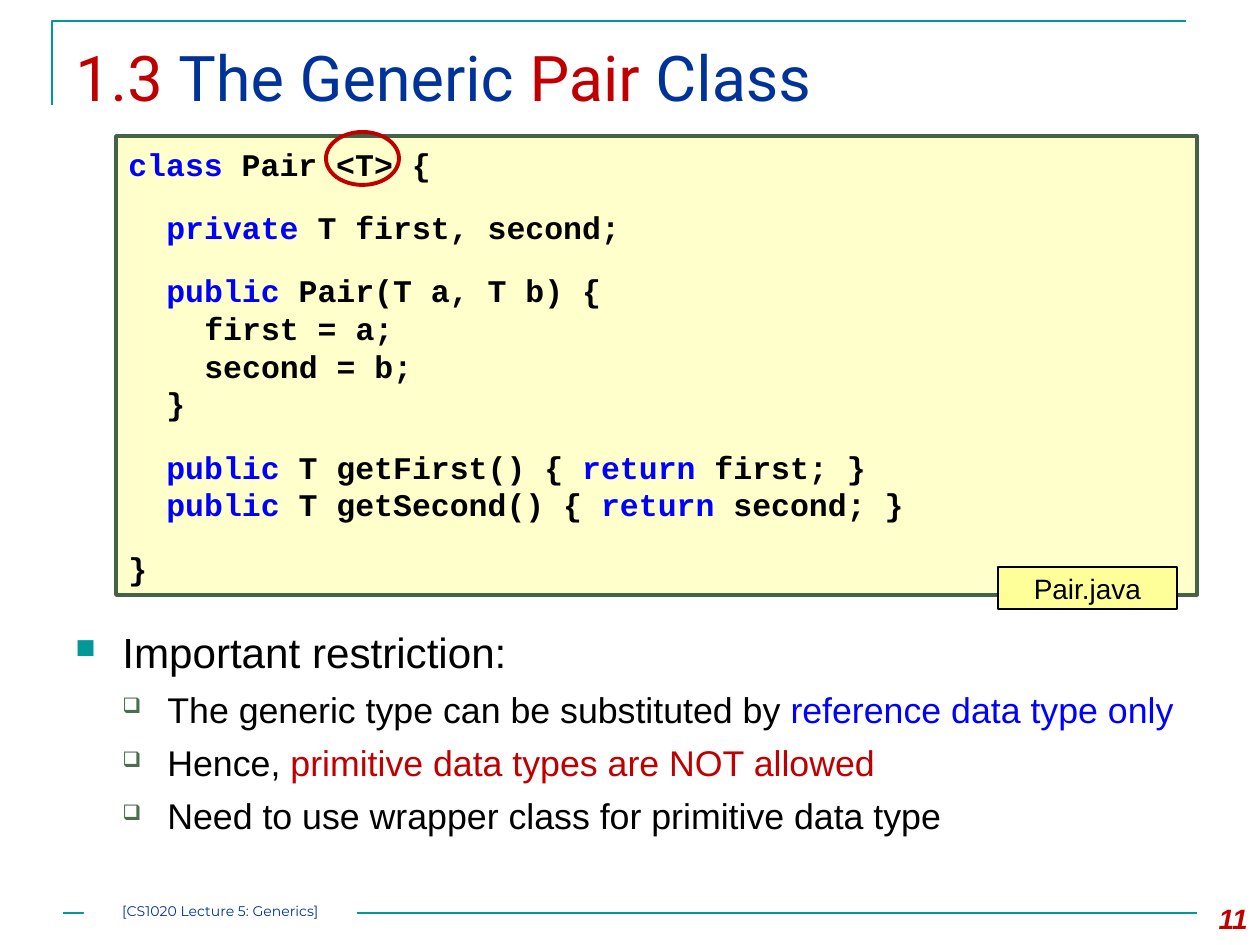
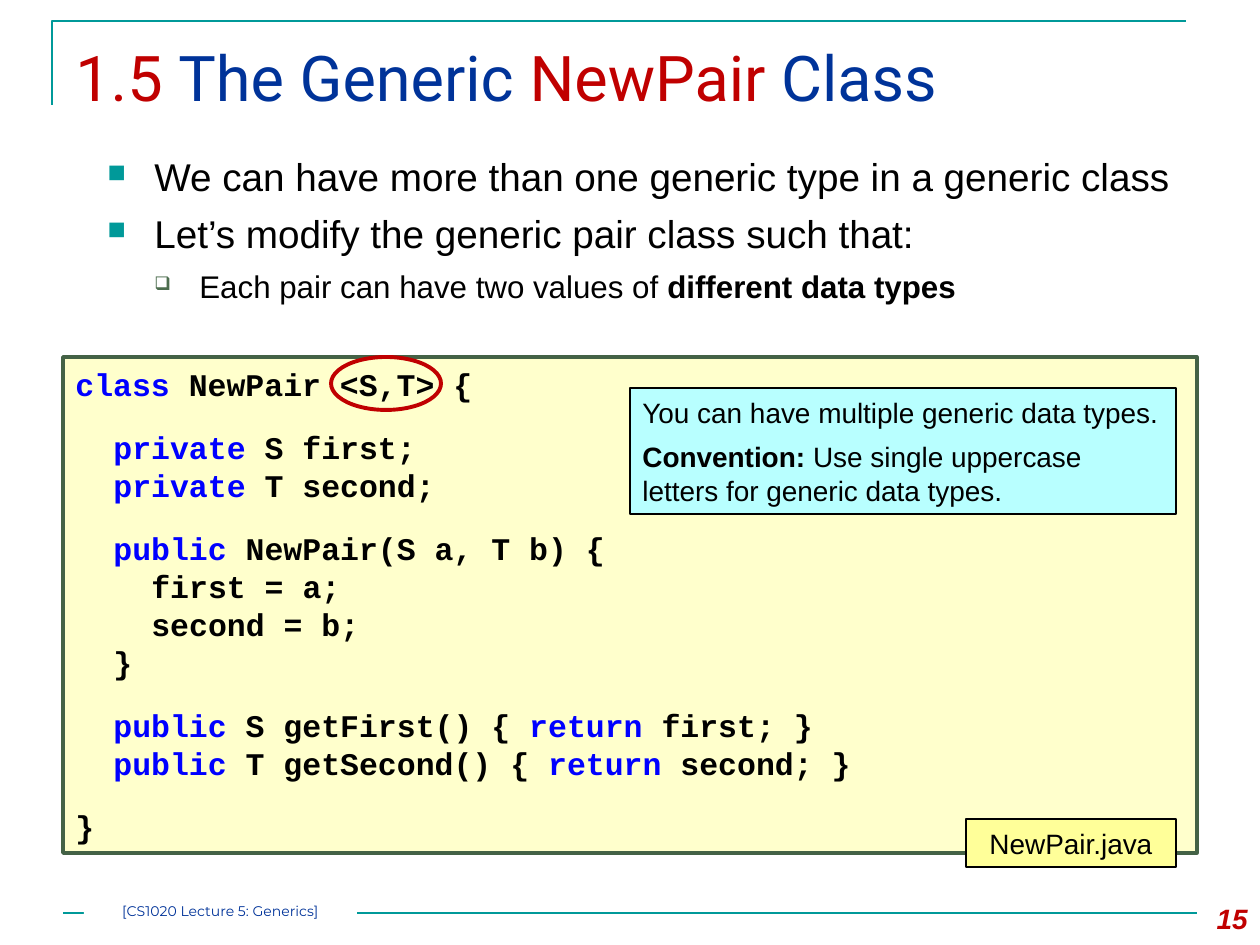
from itertools import groupby

from lxml import etree
from pptx import Presentation
from pptx import util as u
from pptx.dml import color
from pptx.enum import shapes, text
from pptx.oxml import ns

COLOURS = {
    "teal": "009999",
    "navy": "003399",
    "red": "C00000",
    "blue": "0000FF",
    "black": "000000",
    "white": "FFFFFF",
    "green": "446246",
    "moss": "4C6D4E",
    "cream": "FFFFCC",
    "yellow": "FFFF99",
    "cyan": "B8FFFF",
}
EMU_PER_PX = 914400 / 126
LINE_HEIGHT = 1.2
KEYWORDS = {"class", "private", "public", "return"}
CODE_INDENT = 38
CODE_GAP = 14.5
BULLETS = [("■", "teal", 65, 47, 47), ("❑", "moss", 60, 92, 45)]
FOOTER = "[CS1020 Lecture 5: Generics]"


def px(length):
    return u.Emu(round(length * EMU_PER_PX))


def rgb(name):
    return color.RGBColor.from_string(COLOURS[name])


def add_text(para, content, size, font="Arial", colour="black", bold=False, italic=False):
    span = para.add_run()
    span.text = content
    span.font.size = u.Pt(size)
    span.font.name = font
    span.font.color.rgb = rgb(colour)
    span.font.bold = bold
    span.font.italic = italic


def next_para(frame, size=None, before=0, align=text.PP_ALIGN.LEFT):
    para = frame.paragraphs[0]
    if para.runs:
        para = frame.add_paragraph()
    para.alignment = align
    para.space_before = u.Pt(before)
    if size:
        para.line_spacing = u.Pt(round(size * LINE_HEIGHT, 1))
    return para


def set_indent(para, left, hanging=0):
    properties = para._p.get_or_add_pPr()
    properties.set("marL", str(px(left)))
    properties.set("indent", str(-px(hanging)))
    return properties


def set_bullet(para, level):
    mark, colour, percent, left, hanging = BULLETS[level]
    properties = set_indent(para, left, hanging)
    bullet_colour = etree.SubElement(properties, ns.qn("a:buClr"))
    etree.SubElement(bullet_colour, ns.qn("a:srgbClr"), val=COLOURS[colour])
    etree.SubElement(properties, ns.qn("a:buSzPct"), val=str(percent * 1000))
    etree.SubElement(properties, ns.qn("a:buChar"), char=mark)


def add_frame(page, left, top, width, height):
    box = page.shapes.add_textbox(px(left), px(top), px(width), px(height))
    box.text_frame.word_wrap = True
    return box.text_frame


def add_panel(page, left, top, width, height, fill=None, line=None, weight=1,
              kind=shapes.MSO_SHAPE.RECTANGLE):
    panel = page.shapes.add_shape(kind, px(left), px(top), px(width), px(height))
    panel.shadow.inherit = False
    if fill:
        panel.fill.solid()
        panel.fill.fore_color.rgb = rgb(fill)
    else:
        panel.fill.background()
    if line:
        panel.line.color.rgb = rgb(line)
        panel.line.width = u.Pt(weight)
    else:
        panel.line.fill.background()
    frame = panel.text_frame
    frame.word_wrap = True
    frame.vertical_anchor = text.MSO_ANCHOR.MIDDLE
    return frame


def add_corner(page):
    builder = page.shapes.build_freeform(px(52), px(105), scale=1.0)
    builder.add_line_segments([(px(52), px(21)), (px(1186), px(21))], close=False)
    corner = builder.convert_to_shape()
    corner.shadow.inherit = False
    corner.fill.background()
    corner.line.color.rgb = rgb("teal")
    corner.line.width = u.Pt(1.5)


def add_footer(page, number):
    rule = page.shapes.add_connector(
        shapes.MSO_CONNECTOR.STRAIGHT, px(63), px(913), px(1197), px(913))
    rule.line.color.rgb = rgb("teal")
    rule.line.width = u.Pt(1.5)
    etree.SubElement(rule._element.spPr, ns.qn("a:effectLst"))

    label = add_panel(page, 84, 901, 273, 19, fill="white")
    label.margin_left = label.margin_right = label.margin_top = label.margin_bottom = 0
    para = next_para(label, align=text.PP_ALIGN.CENTER)
    add_text(para, FOOTER, 8, font="Montserrat", colour="navy")

    para = next_para(add_frame(page, 1176, 895, 84, 50), align=text.PP_ALIGN.RIGHT)
    add_text(para, str(number), 16, colour="red", bold=True, italic=True)


def add_title(page, section, class_name):
    para = next_para(add_frame(page, 63, 32, 1166, 108))
    for content, colour in ((f"{section} ", "red"), ("The Generic ", "navy"),
                            (f"{class_name} ", "red"), ("Class", "navy")):
        add_text(para, content, 36, font="Roboto", colour=colour)


def add_page(deck, number, section, class_name):
    page = deck.slides.add_slide(deck.slide_layouts[6])
    add_corner(page)
    add_footer(page, number)
    add_title(page, section, class_name)
    return page


def add_bullets(page, left, top, width, height, sizes, items):
    frame = add_frame(page, left, top, width, height)
    for index, (level, spans) in enumerate(items):
        para = next_para(frame, sizes[level], before=6 if index else 0)
        set_bullet(para, level)
        for content, style in spans:
            add_text(para, content, sizes[level], **style)


def class_blocks(name, types, fields, first, second):
    return [
        [(0, f"class {name} <{types}> {{")],
        [(1, f"private {field};") for field in fields],
        [(1, f"public {name}({first} a, {second} b) {{"),
         (2, "first = a;"), (2, "second = b;"), (1, "}")],
        [(1, f"public {first} getFirst() {{ return first; }}"),
         (1, f"public {second} getSecond() {{ return second; }}")],
        [(0, "}")],
    ]


def add_code(page, left, top, width, height, blocks):
    frame = add_panel(page, left, top, width, height, "cream", "green", 2)
    for block_index, block in enumerate(blocks):
        for line_index, (level, line) in enumerate(block):
            opens_block = block_index > 0 and line_index == 0
            para = next_para(frame, 18, before=CODE_GAP if opens_block else 0)
            set_indent(para, level * CODE_INDENT)
            words = [word + " " for word in line.split(" ")]
            words[-1] = words[-1].strip()
            for is_keyword, group in groupby(words, lambda word: word.strip() in KEYWORDS):
                add_text(para, "".join(group), 18, font="Courier New",
                         colour="blue" if is_keyword else "black", bold=True)


def add_file_label(page, left, top, width, height, name):
    frame = add_panel(page, left, top, width, height, "yellow", "black")
    add_text(next_para(frame, align=text.PP_ALIGN.CENTER), name, 16)


def add_ring(page, left, top, width, height):
    add_panel(page, left, top, width, height, line="red", weight=2.25,
              kind=shapes.MSO_SHAPE.OVAL)


def add_note(page, left, top, width, height):
    frame = add_panel(page, left, top, width, height, "cyan", "black")
    add_text(next_para(frame, 16), "You can have multiple generic data types.", 16)
    convention = next_para(frame, 16, before=6)
    add_text(convention, "Convention: ", 16, bold=True)
    add_text(convention, "Use single uppercase letters for generic data types.", 16)


def build_pair(deck):
    page = add_page(deck, 11, "1.3", "Pair")
    add_bullets(page, 63, 620, 1134, 231, (24.1, 20.4), [
        (0, [("Important restriction:", {})]),
        (1, [("The generic type can be substituted by ", {}),
             ("reference data type only", {"colour": "blue"})]),
        (1, [("Hence, ", {}),
             ("primitive data types are NOT allowed", {"colour": "red"})]),
        (1, [("Need to use wrapper class for primitive data type", {})]),
    ])
    add_code(page, 116, 136, 1081, 459,
             class_blocks("Pair", "T", ["T first, second"], "T", "T"))
    add_file_label(page, 998, 567, 179, 42, "Pair.java")
    add_ring(page, 326, 132, 73, 53)


def build_new_pair(deck):
    page = add_page(deck, 15, "1.5", "NewPair")
    add_bullets(page, 95, 147, 1102, 168, (22.1, 17.9), [
        (0, [("We can have more than one generic type in a generic class", {})]),
        (0, [("Let’s modify the generic pair class such that:", {})]),
        (1, [("Each pair can have two values of ", {}),
             ("different data types", {"bold": True})]),
    ])
    add_code(page, 63, 357, 1134, 496,
             class_blocks("NewPair", "S,T", ["S first", "T second"], "S", "T"))
    add_file_label(page, 966, 819, 210, 48, "NewPair.java")
    add_note(page, 630, 388, 546, 126)
    add_ring(page, 331, 357, 110, 53)


def main():
    deck = Presentation()
    deck.slide_width = px(1260)
    deck.slide_height = px(945)
    build_pair(deck)
    build_new_pair(deck)
    deck.save("out.pptx")


if __name__ == "__main__":
    main()
